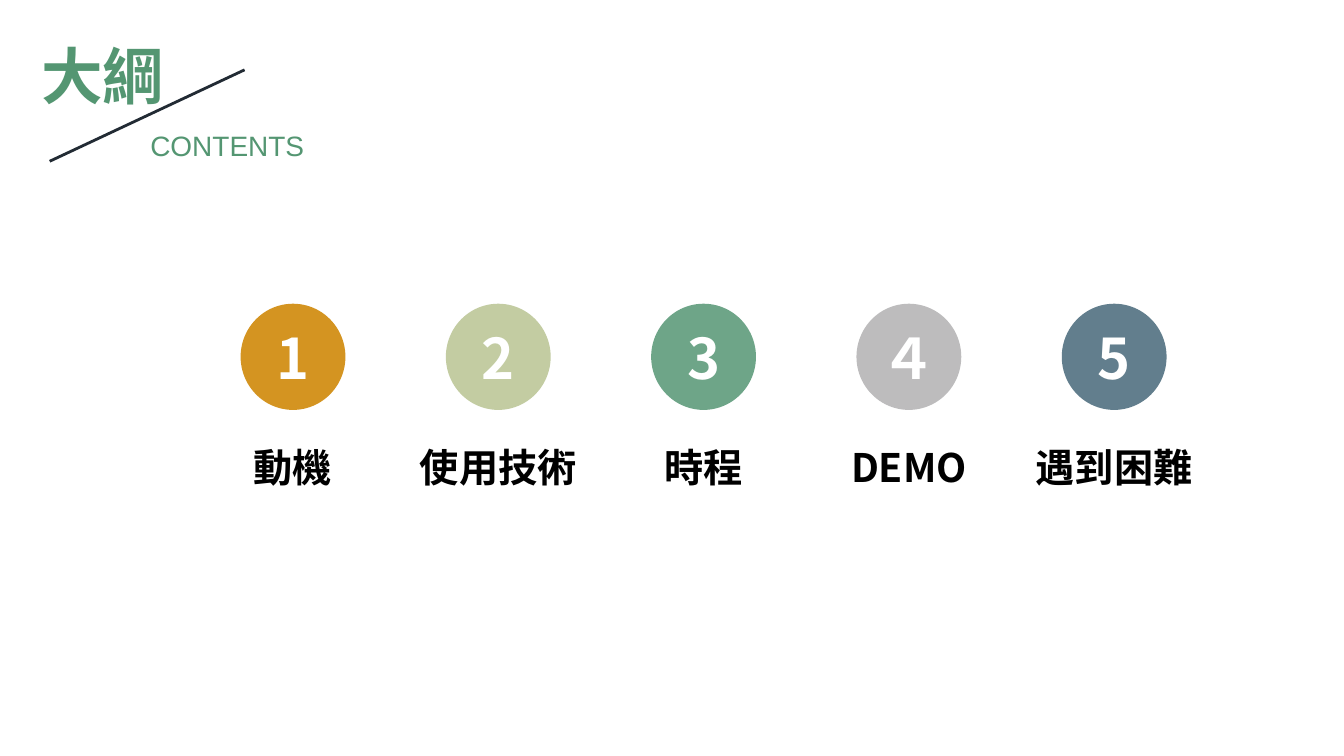
import pptx
import pptx.dml.color
import pptx.enum.shapes
import pptx.enum.text
import pptx.util
from lxml import etree
from pptx.oxml.ns import qn

Inches = pptx.util.Inches
ALIGN = pptx.enum.text.PP_ALIGN
MIDDLE = pptx.enum.text.MSO_ANCHOR.MIDDLE

COLORS = {
    "green": "549672", "line": "222B34", "label": "000000", "number": "FFFFFF",
    "ochre": "D49421", "sage": "C3CCA2", "jade": "6EA588",
    "silver": "BDBCBD", "slate": "627E8D",
}
CJK_FONT = "Noto Sans CJK SC"
FORMATS = {
    "title": {"name": CJK_FONT, "size": pptx.util.Pt(33), "bold": True},
    "subtitle": {"name": "Arial", "size": pptx.util.Pt(15), "bold": False},
    "number": {"name": CJK_FONT, "size": pptx.util.Pt(30), "bold": True},
    "label": {"name": CJK_FONT, "size": pptx.util.Pt(21), "bold": True},
}
TOPICS = [
    ("1", "動機", "ochre"),
    ("2", "使用技術", "sage"),
    ("3", "時程", "jade"),
    ("４", "DEMO", "silver"),
    ("5", "遇到困難", "slate"),
]


def rgb(color):
    return pptx.dml.color.RGBColor.from_string(COLORS[color])


def write(shape, text, style, color, align, inset_x=0.1, inset_y=0.05):
    frame = shape.text_frame
    settings = {
        "word_wrap": False, "vertical_anchor": MIDDLE,
        "margin_left": Inches(inset_x), "margin_right": Inches(inset_x),
        "margin_top": Inches(inset_y), "margin_bottom": Inches(inset_y),
    }
    for name, value in settings.items():
        setattr(frame, name, value)
    para = frame.paragraphs[0]
    para.alignment = align
    span = para.add_run()
    span.text = text
    for name, value in FORMATS[style].items():
        setattr(span.font, name, value)
    span.font.color.rgb = rgb(color)
    # python-pptx sets only the Latin typeface
    east_asian = etree.SubElement(span.font._element, qn("a:ea"))
    east_asian.set("typeface", FORMATS[style]["name"])


def add_text(page, left, top, width, height, *text_format):
    box = page.shapes.add_textbox(
        Inches(left), Inches(top), Inches(width), Inches(height))
    write(box, *text_format)


def add_heading(page, left, top):
    add_text(page, left, top, 1.13, 0.66, "大綱", "title", "green", ALIGN.LEFT)
    slash = page.shapes.add_connector(
        pptx.enum.shapes.MSO_CONNECTOR.STRAIGHT,
        Inches(left + 1.61), Inches(top + 0.29),
        Inches(left + 0.16), Inches(top + 0.97))
    slash.line.color.rgb = rgb("line")
    slash.line.width = pptx.util.Pt(1.5)
    etree.SubElement(slash._element.spPr, qn("a:effectLst"))
    add_text(page, left + 0.81, top + 0.68, 1.36, 0.35,
             "CONTENTS", "subtitle", "green", ALIGN.LEFT)


def add_topic(page, left, top, width, number, label, color):
    """Place a numbered disc with its label centred below."""
    disc = page.shapes.add_shape(
        pptx.enum.shapes.MSO_SHAPE.OVAL,
        Inches(left), Inches(top), Inches(width), Inches(0.79))
    disc.shadow.inherit = False
    disc.fill.solid()
    disc.fill.fore_color.rgb = rgb(color)
    disc.line.fill.background()
    write(disc, number, "number", "number", ALIGN.CENTER, 0.07, 0.04)

    label_width = 0.2 + 0.295 * len(label)
    add_text(page, left + (width - label_width) / 2, top + 0.99,
             label_width, 0.45, label, "label", "label", ALIGN.CENTER)


def add_topics(page, left, top, width):
    """Spread the topics evenly across the given width."""
    disc_width = 0.78
    pitch = (width - disc_width) / (len(TOPICS) - 1)
    for index, topic in enumerate(TOPICS):
        add_topic(page, left + index * pitch, top, disc_width, *topic)


def main():
    deck = pptx.Presentation()
    deck.slide_width = Inches(10)
    deck.slide_height = deck.slide_width * 9 // 16
    page = deck.slides.add_slide(deck.slide_layouts[6])
    add_heading(page, 0.21, 0.23)
    add_topics(page, 1.79, 2.26, 6.89)
    deck.save("out.pptx")


if __name__ == "__main__":
    main()
